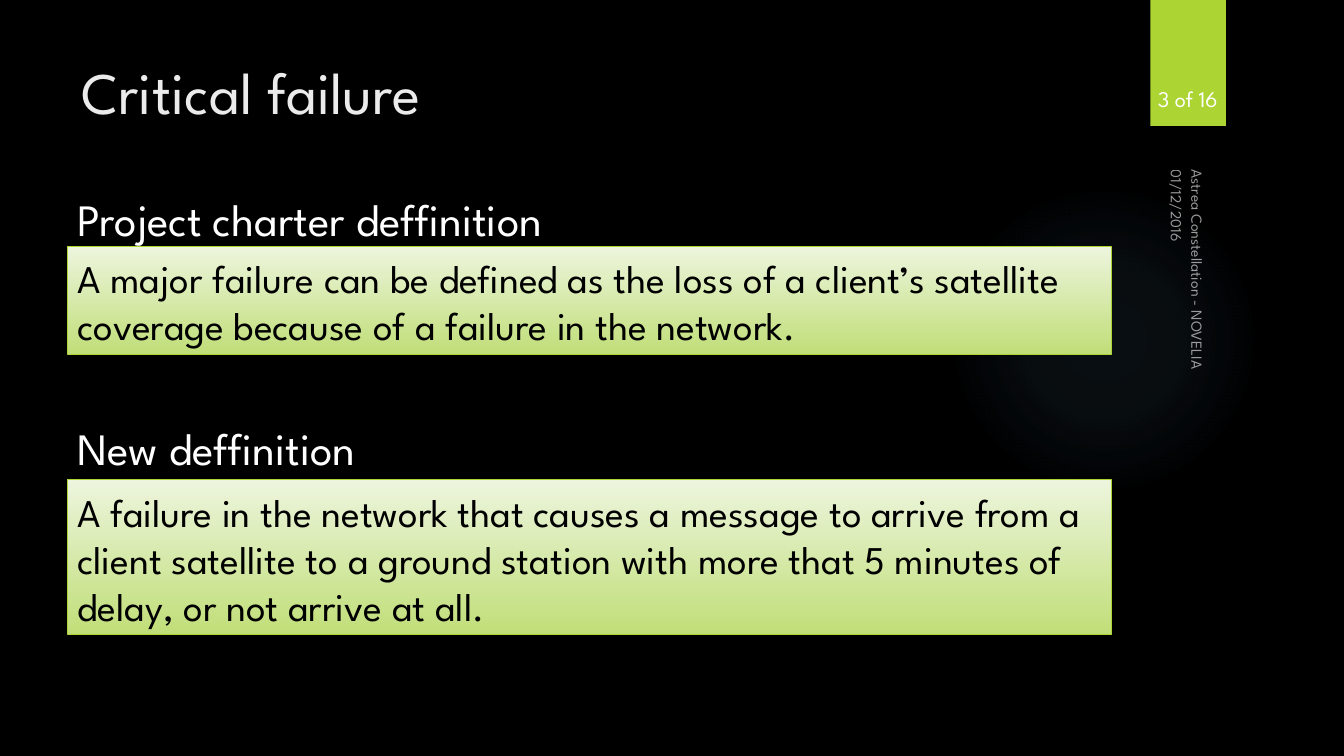
from lxml import etree
from pptx import Presentation
from pptx.dml.color import RGBColor
from pptx.enum.shapes import MSO_SHAPE
from pptx.enum.text import MSO_ANCHOR, PP_ALIGN
from pptx.oxml import parse_xml
from pptx.oxml.ns import qn
from pptx.util import Inches, Pt

RECT, OVAL = MSO_SHAPE.RECTANGLE, MSO_SHAPE.OVAL
TOP, LOW = MSO_ANCHOR.TOP, MSO_ANCHOR.BOTTOM
LEFT, MID = PP_ALIGN.LEFT, PP_ALIGN.CENTER

# Content
FONT = "League Spartan"
COLORS = {"back": "000000", "lime": "ACD433", "pale": "EDF5DD", "leaf": "C0DE78",
          "title": "EBEBEB", "white": "FFFFFF", "black": "000000", "glow": "7AC4F0"}
TITLE = "Critical failure"
PAGE = "3 of 16"
# Text, place, anchor
MARGIN = [
    ("01/12/2016", (11.11, 1.96, 1.08, 0.33), TOP),
    ("Astrea Constellation - NOVELIA", (9.79, 3.53, 4.22, 0.33), LOW),
]
# Heading, its top, panel top, panel height, text top, text
PARTS = [
    ("Project charter deffinition", 1.85, 2.45, 1.07, 2.47,
     "A major failure can be defined as the loss of a client’s satellite "
     "coverage because of a failure in the network."),
    ("New deffinition", 4.12, 4.76, 1.54, 4.79,
     "A failure in the network that causes a message to arrive from a client "
     "satellite to a ground station with more that 5 minutes of delay, "
     "or not arrive at all."),
]
EDGE, WIDE, HEAD = 0.67, 10.35, 5.62
GLOW = [(0, 7), (36, 6), (69, 0)]  # stop and opacity, in percent


def rgb(name):
    return RGBColor.from_string(COLORS[name])


def place(box):
    return [Inches(v) for v in box]


def write(shape, text, size, color, anchor=TOP, align=LEFT):
    frame = shape.text_frame
    for key, val in {"word_wrap": True, "vertical_anchor": anchor}.items():
        setattr(frame, key, val)
    para = frame.paragraphs[0]
    para.alignment = align
    run = para.add_run()
    run.text = text
    for key, val in {"name": FONT, "size": Pt(size), "bold": False}.items():
        setattr(run.font, key, val)
    run.font.color.rgb = rgb(color)


def label(box, *style):
    shape = slide.shapes.add_textbox(*place(box))
    write(shape, *style)
    return shape


def block(kind, box):
    shape = slide.shapes.add_shape(kind, *place(box))
    shape.shadow.inherit = False
    shape.line.fill.background()
    return shape


deck = Presentation()
deck.slide_width, deck.slide_height = Inches(13.33), Inches(7.5)
slide = deck.slides.add_slide(deck.slide_layouts[5])
slide.background.fill.solid()
slide.background.fill.fore_color.rgb = rgb("back")

# Soft round glow
glow = block(OVAL, (9.41, 1.83, 3.08, 3.08))
stops = "".join(
    f'<a:gs pos="{pos * 1000}"><a:srgbClr val="{COLORS["glow"]}">'
    f'<a:alpha val="{alpha * 1000}"/></a:srgbClr></a:gs>' for pos, alpha in GLOW)
glow.fill.background()
old = glow.element.spPr.find(qn("a:noFill"))
old.getparent().replace(old, parse_xml(
    '<a:gradFill xmlns:a="http://schemas.openxmlformats.org/drawingml/2006/main">'
    f'<a:gsLst>{stops}</a:gsLst><a:path path="circle">'
    '<a:fillToRect l="50000" t="50000" r="50000" b="50000"/></a:path></a:gradFill>'))

# Page tab
tab = block(RECT, (11.41, 0, 0.75, 1.25))
tab.fill.solid()
tab.fill.fore_color.rgb = rgb("lime")
label((11.32, 0.32, 0.92, 0.84), PAGE, 16, "white", LOW, MID)

# Title
title = slide.shapes.title
spot = place((0.71, 0.5, 10.29, 1.53))
for key, val in zip(("left", "top", "width", "height"), spot):
    setattr(title, key, val)
write(title, TITLE, 42, "title")

# Turned margin notes, partly see-through
for text, box, anchor in MARGIN:
    note = label(box, text, 11, "white", anchor)
    note.rotation = 90
    tint = note.element.find(".//" + qn("a:srgbClr"))
    etree.SubElement(tint, qn("a:alpha"), val="60000")

# Headings with their panels
for head, head_top, top, high, text_top, text in PARTS:
    panel = block(RECT, (EDGE, top, WIDE, high))
    panel.fill.gradient()
    panel.fill.gradient_angle = 270
    for stop, pos, name in zip(panel.fill.gradient_stops, (0, 1), ("pale", "leaf")):
        stop.position = pos
        stop.color.rgb = rgb(name)
    panel.line.color.rgb = rgb("lime")
    panel.line.width = Pt(0.75)
    label((EDGE, head_top, HEAD, 0.64), head, 32, "white")
    label((EDGE, text_top, WIDE, top + high - text_top), text, 28, "black")

deck.save("out.pptx")
